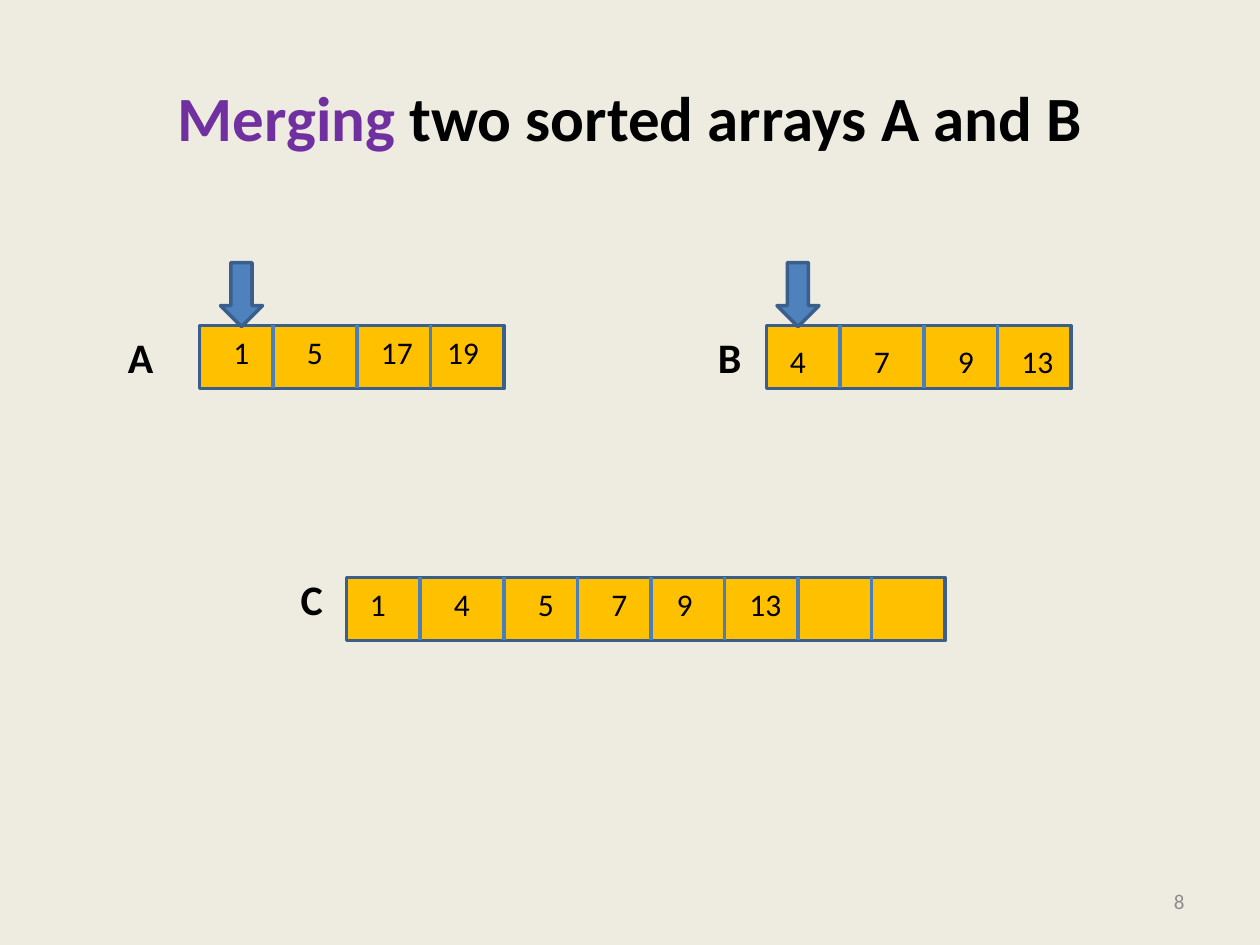
from dataclasses import dataclass
from itertools import accumulate

from lxml.etree import SubElement
from pptx import Presentation
from pptx.dml.color import RGBColor
from pptx.enum.shapes import MSO_CONNECTOR, MSO_SHAPE
from pptx.enum.text import MSO_ANCHOR as Anchor, PP_ALIGN as Align
from pptx.oxml.ns import qn
from pptx.util import Inches, Length, Pt

BACKGROUND = RGBColor(0xEE, 0xEC, 0xE1)
CELL_FILL = RGBColor(0xFF, 0xC0, 0x00)
OUTLINE = RGBColor(0x3A, 0x5F, 0x8C)
DIVIDER = RGBColor(0x4B, 0x7E, 0xBC)
POINTER_FILL = RGBColor(0x4F, 0x81, 0xBD)
PURPLE = RGBColor(0x70, 0x30, 0xA0)
BLACK = RGBColor(0, 0, 0)
GREY = RGBColor(0x8C, 0x8C, 0x8C)

FONT = "Calibri"
UNITS_PER_INCH = 12
CELL, WIDE_CELL, ROW = 7, 8, 6  # grid units; the second cell is the wide one


@dataclass(frozen=True)
class SortedArray:
    """An array on the grid; value centres count from its left edge."""
    label: str
    label_centre: float
    label_top: float
    left: float
    top: float
    cells: int
    values: dict[int, float]
    values_top: float
    has_pointer: bool = False


ARRAYS = (
    SortedArray("B", 69.5, 31, 73, 31, 4,
                {4: 3, 7: 11, 9: 19, 13: 25.8}, 32, True),
    SortedArray("A", 13.4, 31, 19, 31, 4,
                {1: 4, 5: 11, 17: 18.8, 19: 25.1}, 31.1, True),
    SortedArray("C", 29.7, 54, 33, 55, 8,
                {1: 3, 4: 11, 5: 19, 7: 26, 9: 32.2, 13: 39.9}, 55.1),
)


def grid(units: float) -> Length:
    return Inches(units / UNITS_PER_INCH)


def add_text(slide, runs, left, top, width, height, *, size, bold=False,
             align=Align.CENTER, anchor=Anchor.TOP):
    """Place (text, colour) runs in one paragraph; lengths in grid units."""
    box = slide.shapes.add_textbox(*map(grid, (left, top, width, height)))
    frame = box.text_frame
    frame.word_wrap = True
    frame.vertical_anchor = anchor
    paragraph = frame.paragraphs[0]
    paragraph.alignment = align
    for text, colour in runs:
        run = paragraph.add_run()
        run.text = text
        run.font.name = FONT
        run.font.size = Pt(size)
        run.font.bold = bold
        run.font.color.rgb = colour


def add_filled(slide, preset, left, top, width, height, fill: RGBColor):
    shape = slide.shapes.add_shape(preset, *map(grid, (left, top, width, height)))
    shape.shadow.inherit = False
    shape.fill.solid()
    shape.fill.fore_color.rgb = fill
    shape.line.color.rgb = OUTLINE
    shape.line.width = Pt(2)


def add_divider(slide, x: float, top: float):
    line = slide.shapes.add_connector(
        MSO_CONNECTOR.STRAIGHT, *map(grid, (x, top, x, top + ROW)))
    line.line.color.rgb = DIVIDER
    line.line.width = Pt(2.25)
    SubElement(line._element.spPr, qn("a:effectLst"))


def draw_array(slide, array: SortedArray):
    widths = [WIDE_CELL if i == 1 else CELL for i in range(array.cells)]
    add_filled(slide, MSO_SHAPE.RECTANGLE, array.left, array.top,
               sum(widths), ROW, CELL_FILL)
    for offset in accumulate(widths[:-1]):
        add_divider(slide, array.left + offset, array.top)
    add_text(slide, [(array.label, BLACK)], array.label_centre - 3,
             array.label_top, 6, 6, size=24, bold=True)
    for value, centre in array.values.items():
        add_text(slide, [(str(value), BLACK)], array.left + centre - 3,
                 array.values_top, 6, 4.8, size=18)
    if array.has_pointer:
        first_centre = array.left + next(iter(array.values.values()))
        add_filled(slide, MSO_SHAPE.DOWN_ARROW, first_centre - 2,
                   array.top - ROW, 4, 6.1, POINTER_FILL)


def main():
    deck = Presentation()
    deck.slide_width, deck.slide_height = Inches(10), Inches(7.5)
    slide = deck.slides.add_slide(deck.slide_layouts[6])
    slide.background.fill.solid()
    slide.background.fill.fore_color.rgb = BACKGROUND

    add_text(slide, [("Merging", PURPLE), (" two sorted arrays A and B", BLACK)],
             6, 3.6, 108, 15, size=36, bold=True, anchor=Anchor.MIDDLE)
    for array in ARRAYS:
        draw_array(slide, array)
    add_text(slide, [("8", GREY)], 86, 83.4, 28, 4.8, size=12,
             align=Align.RIGHT, anchor=Anchor.MIDDLE)
    deck.save("out.pptx")


if __name__ == "__main__":
    main()
